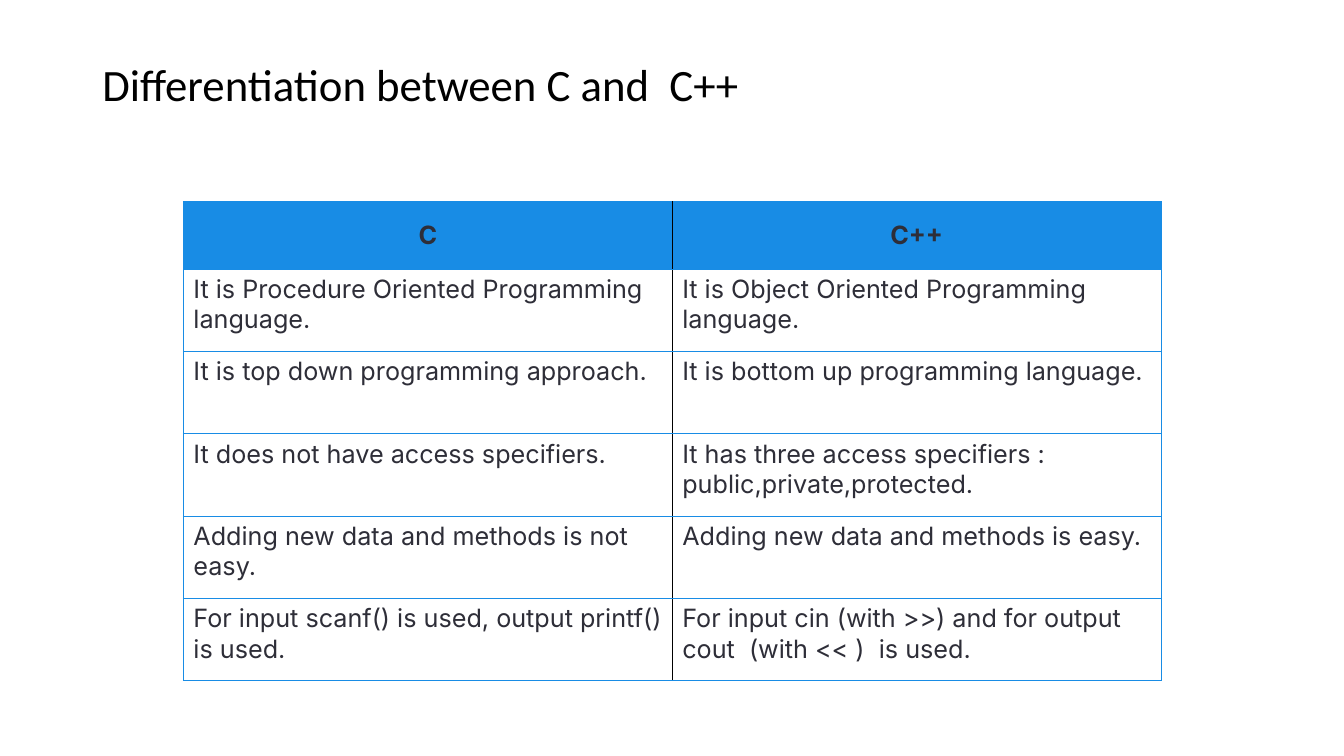
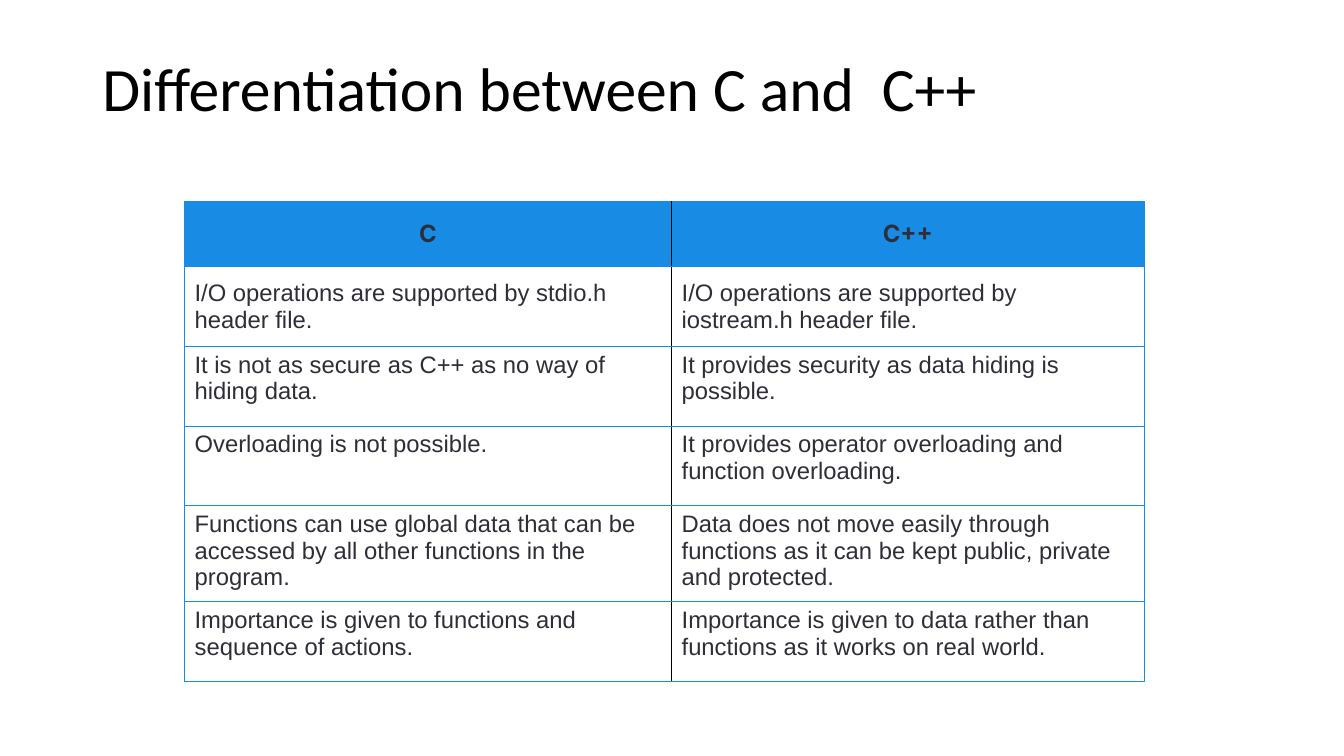
from pptx import Presentation
from pptx.dml.color import RGBColor
from pptx.enum.text import MSO_ANCHOR, PP_ALIGN
from pptx.oxml import parse_xml
from pptx.oxml.ns import nsdecls
from pptx.util import Pt

TOP, MIDDLE = MSO_ANCHOR.TOP, MSO_ANCHOR.MIDDLE
LEFT, CENTER = PP_ALIGN.LEFT, PP_ALIGN.CENTER

TITLE = "Differentiation between C and  C++"
LANGUAGES = ("C", "C++")

BASICS = [
    ("It is Procedure Oriented Programming language.",
     "It is Object Oriented Programming language."),
    ("It is top down programming approach.",
     "It is bottom up programming language."),
    ("It does not have access specifiers.",
     "It has three access specifiers : public,private,protected."),
    ("Adding new data and methods is not easy.",
     "Adding new data and methods is easy."),
    ("For input scanf() is used, output printf() is used.",
     "For input cin (with >>) and for output cout  (with << )  is used."),
]

FEATURES = [
    ("I/O operations are supported by stdio.h header file.",
     "I/O operations are supported by iostream.h header file."),
    ("It is not as secure as C++ as no way of hiding data.",
     "It provides security as data hiding is possible."),
    ("Overloading is not possible.",
     "It provides operator overloading and function overloading."),
    ("Functions can use global data that can be accessed by all other functions in the program.",
     "Data does not move easily through functions as it can be kept public, private and protected."),
    ("Importance is given to functions and sequence of actions.",
     "Importance is given to data rather than functions as it works on real world."),
]


def rgb(value):
    return RGBColor.from_string(value)


class Deck:
    BLUE, BLACK, WHITE, INK = "188CE5", "000000", "FFFFFF", "2E2E38"
    TITLE_FONT, HEADER_FONT = "Calibri", "Inter"
    BORDER = 0.75

    def __init__(self):
        self.presentation = Presentation()
        self.presentation.slide_width = Pt(960)
        self.presentation.slide_height = Pt(540)
        self.slide = None

    def add_slide(self):
        self.slide = self.presentation.slides.add_slide(self.presentation.slide_layouts[6])

    def style(self, paragraph, font, size, color, bold=False, align=LEFT):
        paragraph.alignment = align
        paragraph.font.name = font
        paragraph.font.size = Pt(size)
        paragraph.font.bold = bold
        paragraph.font.color.rgb = rgb(color)

    def title(self, text, size, height):
        frame = self.slide.shapes.add_textbox(Pt(66), Pt(28.75), Pt(828), Pt(height)).text_frame
        frame.word_wrap = True
        frame.vertical_anchor = MIDDLE
        heading = frame.paragraphs[0]
        heading.text = text
        heading.line_spacing = 0.9
        self.style(heading, self.TITLE_FONT, size, self.BLACK)

    def borders(self, cell, is_first):
        inner, outer = self.BLACK, self.BLUE
        sides = {"L": outer if is_first else inner, "R": inner if is_first else outer,
                 "T": outer, "B": outer}
        properties = cell._tc.get_or_add_tcPr()
        for side, color in sides.items():
            properties.append(parse_xml(
                f'<a:ln{side} {nsdecls("a")} w="{Pt(self.BORDER)}"><a:solidFill>'
                f'<a:srgbClr val="{color}"/></a:solidFill></a:ln{side}>'))

    def cell(self, cell, text, is_first, font, size, fill, bold, align, anchor):
        self.borders(cell, is_first)
        cell.fill.solid()
        cell.fill.fore_color.rgb = rgb(fill)
        cell.vertical_anchor = anchor
        cell.text = text
        self.style(cell.text_frame.paragraphs[0], font, size, self.INK, bold, align)

    def comparison(self, left, widths, heights, pairs, font, size, middle_rows=()):
        rows = [LANGUAGES, *pairs]
        table = self.slide.shapes.add_table(
            len(rows), len(widths), Pt(left), Pt(144), Pt(sum(widths)), Pt(sum(heights))).table
        table.horz_banding = False
        for column, width in zip(table.columns, widths):
            column.width = Pt(width)
        for row, height in zip(table.rows, heights):
            row.height = Pt(height)
        for r, pair in enumerate(rows):
            if r == 0:
                look = (self.HEADER_FONT, size, self.BLUE, True, CENTER, MIDDLE)
            else:
                look = (font, size, self.WHITE, False, LEFT, MIDDLE if r in middle_rows else TOP)
            for c, text in enumerate(pair):
                self.cell(table.cell(r, c), text, c == 0, *look)


def main():
    deck = Deck()

    deck.add_slide()
    deck.title(TITLE, size=32, height=67)
    deck.comparison(131, [349.2] * 2, [48.2] + [58.8] * 5, BASICS, "Inter", 18)

    deck.add_slide()
    deck.title(TITLE, size=44, height=73.5)
    deck.comparison(131.8, [347.9, 337.6], [46.6] + [56.9] * 3 + [68.2, 56.9],
                    FEATURES, "Arial", 17, middle_rows=(1,))

    deck.presentation.save("out.pptx")


if __name__ == "__main__":
    main()
